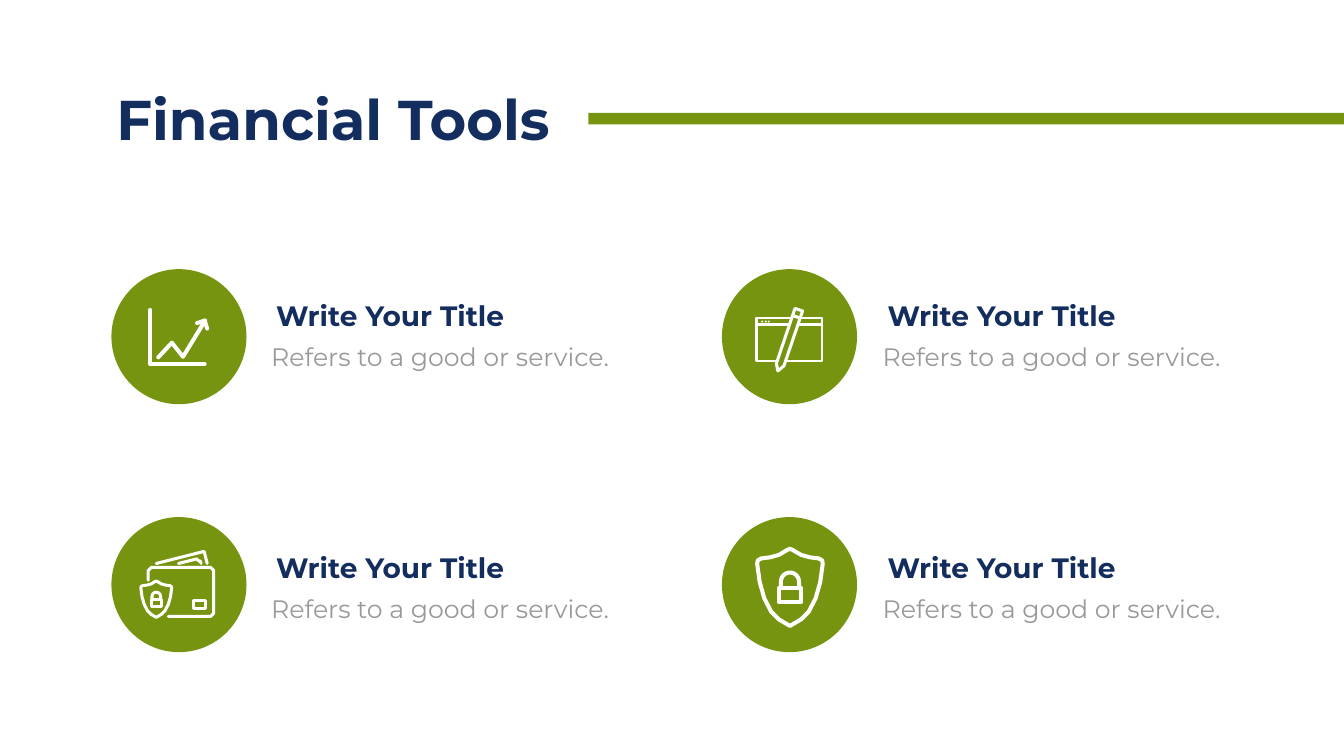
from math import cos, pi, sin

from lxml.etree import SubElement
from pptx import Presentation
from pptx.dml.color import RGBColor
from pptx.enum.shapes import MSO_SHAPE as Preset
from pptx.enum.text import MSO_AUTO_SIZE as AutoSize
from pptx.oxml.ns import qn
from pptx.util import Emu, Pt

PX = 9144  # 100 px to the inch
COLORS = {"navy": "122D5E", "green": "769410", "grey": "999999", "white": "FFFFFF"}

deck = Presentation()
deck.slide_width, deck.slide_height = Emu(2666 * PX), Emu(1500 * PX)
slide = deck.slides.add_slide(deck.slide_layouts[6])


def write_text(text, left, top, width, height, size, color, bold=False, inset=(10, 5)):
    box = slide.shapes.add_textbox(*(Emu(n * PX) for n in (left, top, width, height)))
    frame = box.text_frame
    frame.word_wrap = True
    frame.auto_size = AutoSize.SHAPE_TO_FIT_TEXT
    frame.margin_left = frame.margin_right = Emu(inset[0] * PX)
    frame.margin_top = frame.margin_bottom = Emu(inset[1] * PX)
    run = frame.paragraphs[0].add_run()
    run.text = text
    run.font.name, run.font.size, run.font.bold = "Montserrat", Pt(size), bold
    run.font.color.rgb = RGBColor.from_string(COLORS[color])


def draw_stroke(points, origin, weight, close=False, fill=None, scale=1):
    """Draw a white round-ended line through points measured from origin."""
    route = [tuple(round((o + n * scale) * PX) for o, n in zip(origin, point))
             for point in points]
    builder = slide.shapes.build_freeform(*route[0])
    builder.add_line_segments(route[1:], close=close)
    stroke = builder.convert_to_shape()
    stroke.shadow.inherit = False
    if fill:
        stroke.fill.solid()
        stroke.fill.fore_color.rgb = RGBColor.from_string(COLORS[fill])
    else:
        stroke.fill.background()
    stroke.line.width = Emu(weight * PX)
    stroke.line.color.rgb = RGBColor.from_string(COLORS["white"])
    outline = stroke.line._get_or_add_ln()
    outline.set("cap", "rnd")
    SubElement(outline, qn("a:round"))


write_text("Financial Tools", 221, 163, 916, 145, size=80, color="navy", bold=True)

# Rule beside the heading, icon discs, and the buttons of the window icon
discs = [(221 + 1211 * col, 534 + 492 * row) for row in range(2) for col in range(2)]
chart_disc, window_disc, card_disc, shield_disc = discs
solids = [(Preset.RECTANGLE, (1167, 224, 1499, 23), "green")]
solids += [(Preset.OVAL, (x, y, 268, 268), "green") for x, y in discs]
solids += [(Preset.OVAL, (window_disc[0] + x, window_disc[1] + 102, 4, 4), "white")
           for x in (78, 85, 91)]
for preset, area, color in solids:
    solid = slide.shapes.add_shape(preset, *(Emu(n * PX) for n in area))
    solid.shadow.inherit = False
    solid.fill.solid()
    solid.fill.fore_color.rgb = RGBColor.from_string(COLORS[color])
    solid.line.fill.background()

# Rising chart: axes, trend, arrowhead
for points in (
    [(77, 81), (77, 188), (185, 188)],
    [(93, 175), (120, 146), (142, 174), (186, 102)],
    [(170, 107), (185, 102), (190, 118)],
):
    draw_stroke(points, chart_disc, 8)

# Window with a title bar, and a pencil across it
for bottom in (182, 110):
    draw_stroke([(69, 97), (199, 97), (199, bottom), (69, bottom)],
                window_disc, 5, close=True)
draw_stroke([(111, 202), (108, 187), (145, 78), (160, 83), (123, 192)],
            window_disc, 6, close=True, fill="green")
draw_stroke([(140, 92), (155, 97)], window_disc, 6)

# Bank card with notes behind it
for points in (
    [(73, 125), (73, 106), (79, 100), (197, 100), (203, 106),
     (203, 191), (197, 197), (113, 197)],
    [(89, 92), (184, 68), (190, 92)],
    [(133, 92), (169, 83), (173, 87), (176, 87), (178, 92)],
):
    draw_stroke(points, card_disc, 6)
draw_stroke([(162, 165), (187, 165), (187, 181), (162, 181)], card_disc, 6, close=True)

# Shield with a padlock, measured from the top of the shield
shield_half = [(0, 0), (5, 2), (22, 12), (40, 17), (57, 19), (64, 23), (65, 30),
               (60, 66), (51, 98), (37, 125), (22, 140), (0, 153)]
shield = shield_half + [(-x, y) for x, y in shield_half[-2:0:-1]]
lock_body = [(-22, 77), (22, 77), (22, 106), (-22, 106)]
arch = [(-18 * cos(pi * i / 12), 65 - 18 * sin(pi * i / 12)) for i in range(13)]
shackle = [(-18, 76), *arch, (18, 76)]
for (x, y), dx, dy, scale, weight in (
    (card_disc, 89, 127, 0.47, 6),
    (shield_disc, 135, 63, 1, 8),
):
    for points, close in ((shield, True), (lock_body, True), (shackle, False)):
        draw_stroke(points, (x + dx, y + dy), weight, close=close, scale=scale)

for row in range(2):
    for col in range(2):
        left, top = 514 + 1213 * col, 587 + 500 * row
        write_text("Refers to a good or service.", left, top + 78, 718, 85,
                   size=36, color="grey", inset=(24, 12))
        write_text("Write Your Title", left + 24, top, 567, 77,
                   size=40, color="navy", bold=True)

deck.save("out.pptx")
